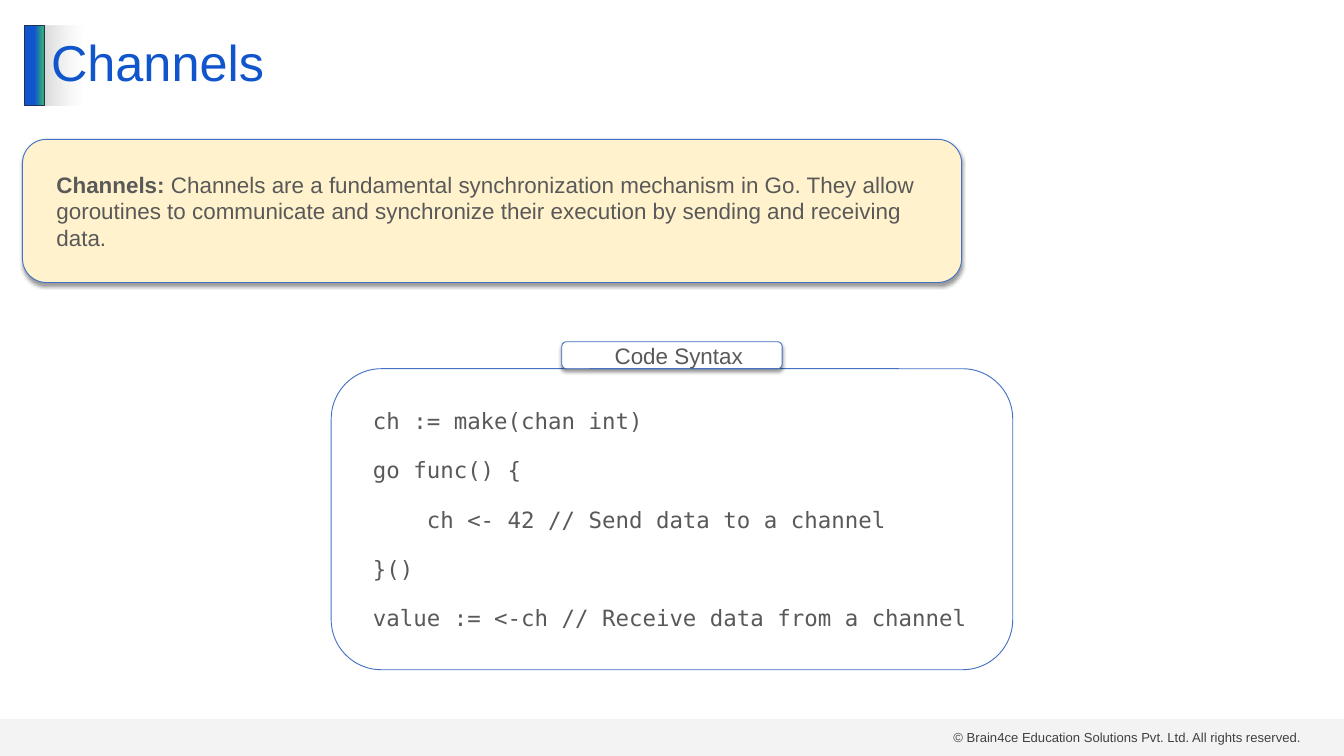
import pptx
import pptx.dml.color
import pptx.enum.shapes
import pptx.enum.text
import pptx.oxml
import pptx.oxml.ns
import pptx.util
from lxml import etree

Cm, Pt = pptx.util.Cm, pptx.util.Pt
qn = pptx.oxml.ns.qn
SHAPE = pptx.enum.shapes.MSO_SHAPE
ALIGN = pptx.enum.text.PP_ALIGN
ANCHOR = pptx.enum.text.MSO_ANCHOR

SLIDE_WIDTH, SLIDE_HEIGHT = 50.8, 28.58
BLUE, OUTLINE, GREY_TEXT, PALE_GREY = "1155CC", "4472C4", "595959", "D9D9D9"
CODE = [
    "ch := make(chan int)",
    "go func() {",
    "    ch <- 42 // Send data to a channel",
    "}()",
    "value := <-ch // Receive data from a channel",
]


def color(value):
    return pptx.dml.color.RGBColor.from_string(value)


def set_alpha(color_element, percent):
    etree.SubElement(color_element, qn("a:alpha")).set("val", str(percent * 1000))


def set_gradient(shape, stops):
    """Fill from left to right; each stop is position, colour, opacity in percent."""
    shape.fill.gradient()
    shape.fill.gradient_angle = 0
    stop_list = shape._element.spPr.find(qn("a:gradFill")).find(qn("a:gsLst"))
    for old_stop in list(stop_list):
        stop_list.remove(old_stop)
    for position, value, opacity in stops:
        stop = etree.SubElement(stop_list, qn("a:gs"), pos=str(position * 1000))
        stop_color = etree.SubElement(stop, qn("a:srgbClr"), val=value)
        if opacity < 100:
            set_alpha(stop_color, opacity)


def add_soft_shadow(shape):
    effects = shape._element.spPr.find(qn("a:effectLst"))
    shadow = etree.SubElement(
        effects, qn("a:outerShdw"), blurRad=str(Pt(4)), dist=str(Pt(3)),
        dir="5400000", algn="t", rotWithShape="0")
    set_alpha(etree.SubElement(shadow, qn("a:srgbClr"), val="000000"), 40)


def add_box(slide, box, kind=SHAPE.ROUNDED_RECTANGLE, fill=None, line=None, shadow=False):
    shape = slide.shapes.add_shape(kind, *(Cm(length) for length in box))
    shape.shadow.inherit = False
    if fill:
        shape.fill.solid()
        shape.fill.fore_color.rgb = color(fill)
    else:
        shape.fill.background()
    if line:
        shape.line.color.rgb = color(line)
        shape.line.width = Pt(1)
    else:
        shape.line.fill.background()
    if shadow:
        add_soft_shadow(shape)
    return shape


def write_text(shape, paragraphs, size=24, font="Arial", fill=GREY_TEXT, align=ALIGN.LEFT,
               anchor=ANCHOR.MIDDLE, side=0.51, indent=0.51, gap=0, line_spacing=None):
    """Write paragraphs, each a list of (text, bold) runs."""
    frame = shape.text_frame
    frame.word_wrap = True
    frame.auto_size = pptx.enum.text.MSO_AUTO_SIZE.NONE
    frame.vertical_anchor = anchor
    frame.margin_left = frame.margin_right = Cm(side)
    frame.margin_top = frame.margin_bottom = Cm(0.13)
    for index, runs in enumerate(paragraphs):
        paragraph = frame.add_paragraph() if index else frame.paragraphs[0]
        paragraph.alignment = align
        paragraph._p.get_or_add_pPr().set("marL", str(Cm(indent)))
        paragraph.space_before = Pt(gap if index else 0)
        if line_spacing:
            paragraph.line_spacing = line_spacing
        for text, bold in runs:
            run = paragraph.add_run()
            run.text = text
            run.font.name, run.font.size, run.font.bold = font, Pt(size), bold
            run.font.color.rgb = color(fill)


def add_title(slide, box, text):
    left, top, width, height = box
    stripe_width = 0.75
    stripe = add_box(slide, (left, top, stripe_width, height), SHAPE.RECTANGLE, line="1E3256")
    set_gradient(stripe, [(51, BLUE, 100), (90, "2EA87D", 100), (100, "2EA87D", 100)])
    title = slide.shapes.title
    title.left, title.top = Cm(left + stripe_width), Cm(top)
    title.width, title.height = Cm(width - stripe_width), Cm(height)
    set_gradient(title, [(0, PALE_GREY, 100), (3, "FFFFFF", 50)])
    write_text(title, [[(text, False)]], size=54, fill=BLUE, side=0.25, indent=0,
               line_spacing=0.9)


def add_definition(slide, box, term, meaning):
    panel = add_box(slide, box, fill="FFF2CC", line=OUTLINE, shadow=True)
    write_text(panel, [[(term, True), (meaning, False)]])


def add_code_panel(slide, box, heading, lines):
    """Code frame with a heading tab centred on its top edge."""
    left, top, width, height = box
    tab_width, tab_height = 8.33, 1.02
    frame = add_box(slide, box, line=OUTLINE)
    write_text(frame, [[(line, False)] for line in lines], font="DejaVu Sans Mono", gap=24)
    tab_box = (left + (width - tab_width) / 2, top - tab_height, tab_width, tab_height)
    tab = add_box(slide, tab_box, fill="FFFFFF", line=OUTLINE, shadow=True)
    write_text(tab, [[(heading, False)]], align=ALIGN.CENTER)


def add_footer(slide, box, text):
    left, top, width, height = box
    band = add_box(slide, box, SHAPE.RECTANGLE, fill=PALE_GREY)
    set_alpha(band._element.spPr.find(qn("a:solidFill")).find(qn("a:srgbClr")), 29)
    note_width, right_margin = 13.74, 1.27
    note = slide.shapes.add_textbox(
        Cm(left + width - right_margin - note_width), Cm(top), Cm(note_width), Cm(height))
    write_text(note, [[(text, False)]], size=14, fill="404040", side=0.25, indent=0)


def main():
    presentation = pptx.Presentation()
    presentation.slide_width, presentation.slide_height = Cm(SLIDE_WIDTH), Cm(SLIDE_HEIGHT)
    slide = presentation.slides.add_slide(presentation.slide_layouts[5])
    footer_height = 1.4
    add_footer(slide, (0, SLIDE_HEIGHT - footer_height, SLIDE_WIDTH, footer_height),
               "© Brain4ce Education Solutions Pvt. Ltd. All rights reserved.")
    add_title(slide, (0.93, 0.98, 48.17, 3), "Channels")
    code_width = 25.76
    add_code_panel(slide, ((SLIDE_WIDTH - code_width) / 2, 13.94, code_width, 11.38),
                   "Code Syntax", CODE)
    add_definition(slide, (0.85, 5.27, 35.5, 5.41), "Channels: ",
                   "Channels are a fundamental synchronization mechanism in Go. They allow "
                   "goroutines to communicate and synchronize their execution by sending and "
                   "receiving data.")
    presentation.save("out.pptx")


if __name__ == "__main__":
    main()
